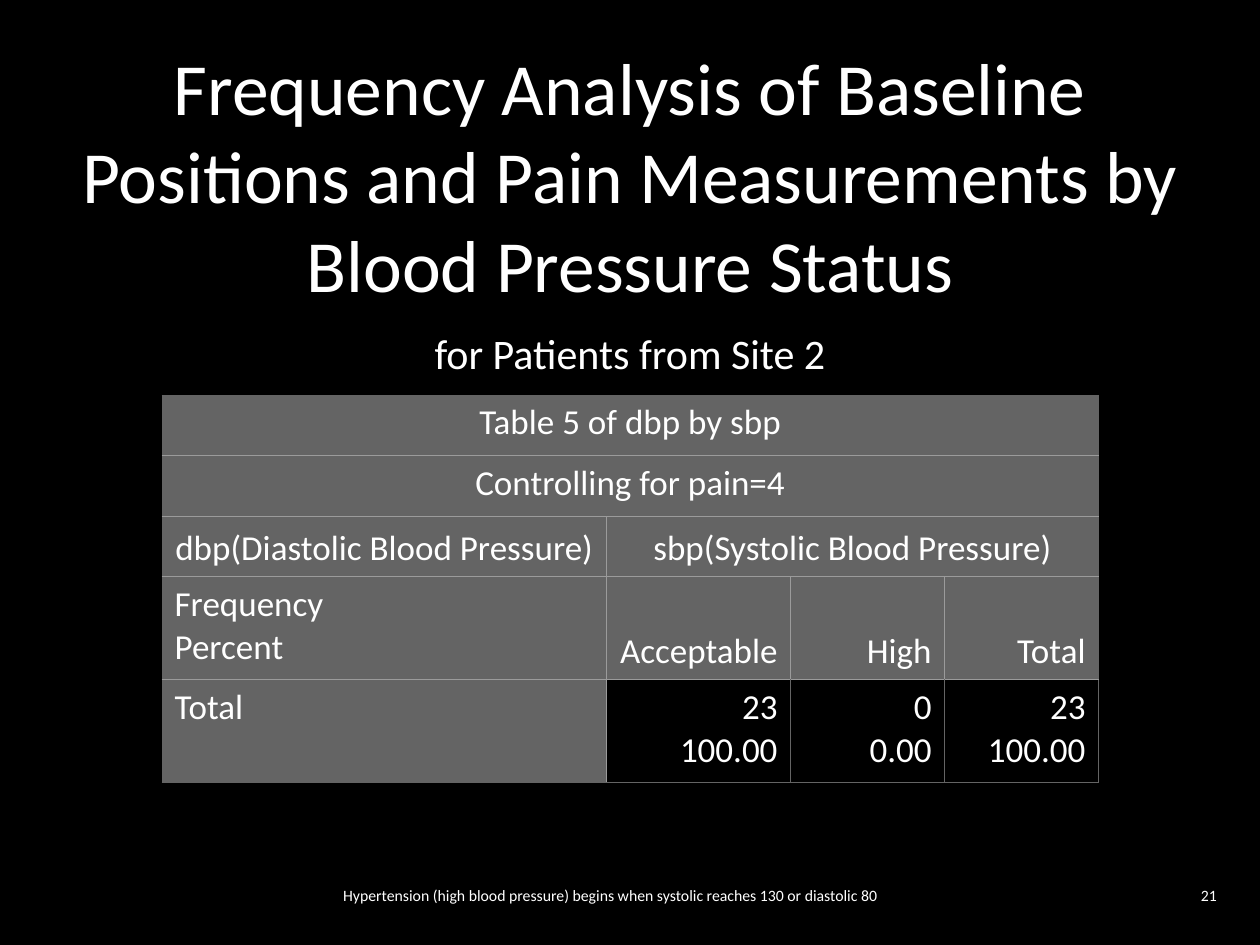
import pptx
import pptx.dml.color
import pptx.enum.text
import pptx.oxml
import pptx.oxml.ns
import pptx.util

Pt = pptx.util.Pt
ALIGN = pptx.enum.text.PP_ALIGN
ANCHOR = pptx.enum.text.MSO_ANCHOR
COLORS = {"background": "000000", "text": "FFFFFF", "header": "646464", "rule": "9B9B9B"}


class SlideBuilder:
    """Hold the style and current slide, and add each kind of element."""

    def __init__(self, prs, font="Calibri"):
        self.font = font
        self.s = prs.slides.add_slide(prs.slide_layouts[5])
        self.fill(self.s.background.fill, "background")

    def fill(self, fill, color):
        fill.solid()
        fill.fore_color.rgb = pptx.dml.color.RGBColor.from_string(COLORS[color])

    def set_text(self, tf, text, size, align):
        tf.text = text
        for p in tf.paragraphs:
            p.alignment = align
            for r in p.runs:
                r.font.name = self.font
                r.font.size = Pt(size)
                self.fill(r.font.fill, "text")

    def frame(self, sp, text, size, align):
        tf = sp.text_frame
        tf.word_wrap = True
        tf.auto_size = pptx.enum.text.MSO_AUTO_SIZE.NONE
        tf.vertical_anchor = ANCHOR.MIDDLE
        self.set_text(tf, text, size, align)

    def title(self, box, text, size):
        sp = self.s.shapes.title
        sp.left, sp.top, sp.width, sp.height = map(Pt, box)
        self.frame(sp, text, size, ALIGN.CENTER)

    def text(self, box, text, size, align):
        self.frame(self.s.shapes.add_textbox(*map(Pt, box)), text, size, align)

    def border(self, cell, side, color):
        ns = pptx.oxml.ns.nsdecls("a")
        cell._tc.get_or_add_tcPr().append(pptx.oxml.parse_xml(
            f'<a:ln{side} {ns} w="{Pt(0.5)}"><a:solidFill>'
            f'<a:srgbClr val="{COLORS[color]}"/></a:solidFill></a:ln{side}>'))

    def table(self, left, top, widths, heights, cells, size):
        rows, cols = len(heights), len(widths)
        table = self.s.shapes.add_table(
            rows, cols, Pt(left), Pt(top), Pt(sum(widths)), Pt(sum(heights))).table
        table.first_row = table.horz_banding = False
        for col, width in zip(table.columns, widths):
            col.width = Pt(width)
        for row, height in zip(table.rows, heights):
            row.height = Pt(height)
        for row, col, span, text, align, anchor in cells:
            cell, end = table.cell(row, col), col + span
            if span > 1:
                cell.merge(table.cell(row, end - 1))
            last = row == rows - 1
            outer = {"L": col == 0 or last and col > 1, "R": end == cols or last and end > 1,
                     "T": row == 0, "B": last}
            for i in range(col, end):
                part = table.cell(row, i)
                for side, is_outer in outer.items():
                    self.border(part, side, "header" if is_outer else "rule")
                self.fill(part.fill, "background" if last and i else "header")
            cell.vertical_anchor = anchor
            self.set_text(cell.text_frame, text, size, align)


def main():
    prs = pptx.Presentation()
    prs.slide_width, prs.slide_height = Pt(720), Pt(540)
    s = SlideBuilder(prs)
    s.title((18, 18, 684, 163.5),
            "Frequency Analysis of Baseline\vPositions and Pain Measurements by\vBlood Pressure Status", 42)
    s.text((18, 181.5, 684, 39.5), "for Patients from Site 2", 24, ALIGN.CENTER)
    cells = [
        (0, 0, 4, "Table 5 of dbp by sbp", ALIGN.CENTER, ANCHOR.TOP),
        (1, 0, 4, "Controlling for pain=4", ALIGN.CENTER, ANCHOR.TOP),
        (2, 0, 1, "dbp(Diastolic Blood Pressure)", ALIGN.CENTER, ANCHOR.BOTTOM),
        (2, 1, 3, "sbp(Systolic Blood Pressure)", ALIGN.CENTER, ANCHOR.BOTTOM),
        (3, 0, 1, "Frequency\vPercent", ALIGN.LEFT, ANCHOR.TOP),
        (4, 0, 1, "Total", ALIGN.LEFT, ANCHOR.TOP),
    ]
    results = [("Acceptable", "23\v100.00"), ("High", "0\v0.00"), ("Total", "23\v100.00")]
    for col, (label, value) in enumerate(results, 1):
        cells.append((3, col, 1, label, ALIGN.RIGHT, ANCHOR.BOTTOM))
        cells.append((4, col, 1, value, ALIGN.RIGHT, ANCHOR.TOP))
    s.table(92.6, 225.8, [254, 105, 88, 88], [34.6] * 3 + [58.8] * 2, cells, 20)
    s.text((189, 501, 342, 21),
           "Hypertension (high blood pressure) begins when systolic reaches 130 or diastolic 80", 9, ALIGN.LEFT)
    s.text((531, 501, 171.5, 21), "21", 9, ALIGN.RIGHT)
    prs.save("out.pptx")


if __name__ == "__main__":
    main()
